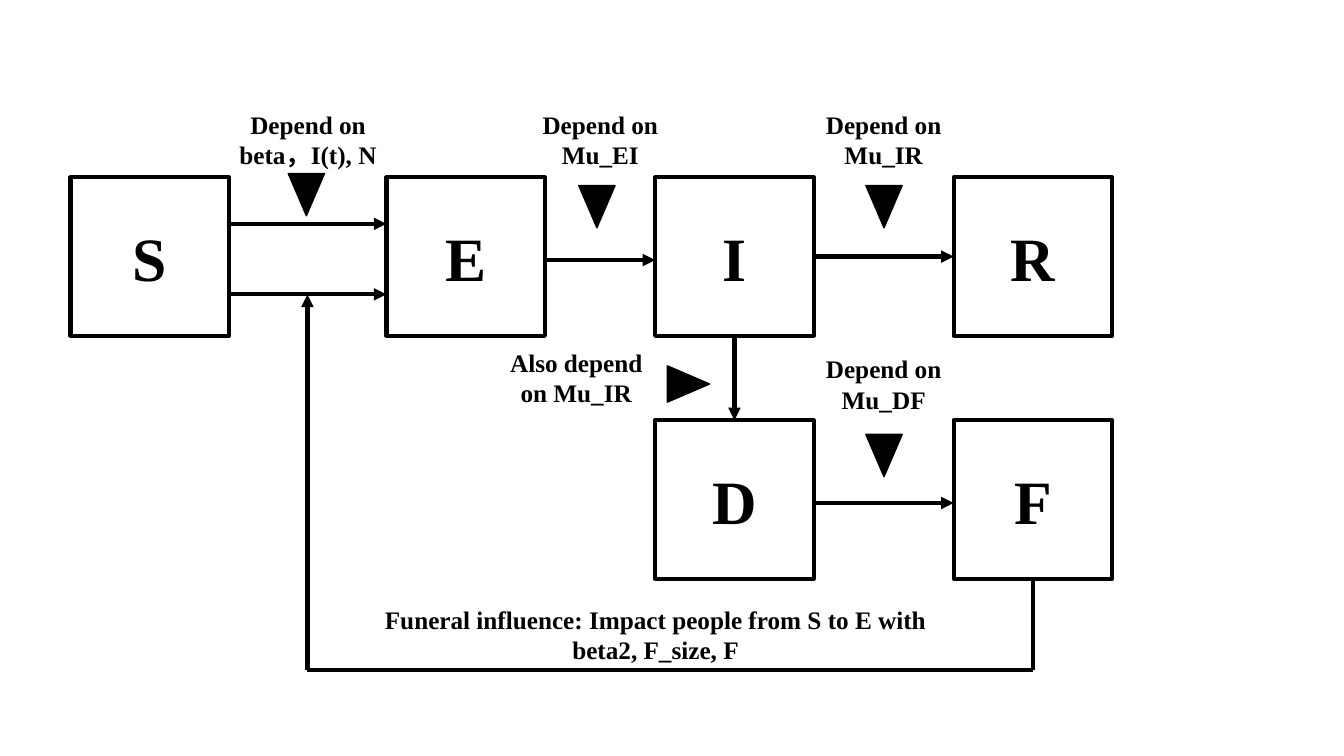
from collections import namedtuple

from lxml.etree import SubElement
from pptx import Presentation
from pptx.dml.color import RGBColor
from pptx.enum.shapes import MSO_CONNECTOR as Connector, MSO_SHAPE as Shape
from pptx.enum.text import MSO_ANCHOR as Anchor, MSO_AUTO_SIZE as AutoSize, PP_ALIGN as Align
from pptx.oxml.ns import qn
from pptx.util import Pt

Box = namedtuple("Box", "left top width height")

BLACK = RGBColor(0, 0, 0)
FONT = "Times New Roman"
STATE_SIZE = 113.2
LABEL_HEIGHT = 51
POINTER_WIDTH, POINTER_HEIGHT = 25.9, 30.2
TOP, LEFT, BOTTOM, RIGHT = range(4)

UPPER_ROW, LOWER_ROW = 126.7, 300.2
STATES = {
    "S": (50.4, UPPER_ROW),
    "E": (276, UPPER_ROW),
    "I": (468, UPPER_ROW),
    "R": (681.2, UPPER_ROW),
    "D": (468, LOWER_ROW),
    "F": (681.2, LOWER_ROW),
}
# Source, target, distance below the middle of the source
FLOWS = [
    ("S", "E", -23.4),
    ("S", "E", 27),
    ("E", "I", 2.5),
    ("I", "R", 0),
    ("D", "F", 2.5),
]
# Text, label box, pointer corner within the label, pointer rotation.
# The first label is wider so that its second line holds the whole list.
LABELS = [
    ("Depend on beta，I(t), N", Box(157, 74.2, 126, LABEL_HEIGHT), (48.9, 49.7), 180),
    ("Depend on Mu_EI", Box(372.2, 74.2, STATE_SIZE, LABEL_HEIGHT), (41.2, 58.3), 180),
    ("Depend on Mu_IR", Box(574.6, 74.2, STATE_SIZE, LABEL_HEIGHT), (43.9, 58.3), 180),
    ("Also depend on Mu_IR", Box(355, 244.4, STATE_SIZE, LABEL_HEIGHT), (123.8, 14.8), 90),
    ("Depend on Mu_DF", Box(574.6, 249.1, STATE_SIZE, LABEL_HEIGHT), (43.9, 61.2), 180),
]


def in_points(box):
    return [Pt(length) for length in box]


def write(frame, text, size):
    frame.word_wrap = True
    frame.text = text
    para = frame.paragraphs[0]
    para.alignment = Align.CENTER
    font = para.runs[0].font
    font.name, font.size, font.bold = FONT, Pt(size), True
    font.color.rgb = BLACK


def add_state(page, box, name):
    state = page.shapes.add_shape(Shape.RECTANGLE, *in_points(box))
    state.shadow.inherit = False
    state.fill.background()
    state.line.color.rgb = BLACK
    state.line.width = Pt(3)
    state.text_frame.vertical_anchor = Anchor.MIDDLE
    write(state.text_frame, name, 44)
    return state


def add_line(page, start, end, arrow=True):
    line = page.shapes.add_connector(Connector.STRAIGHT, *start, *end)
    line.line.color.rgb = BLACK
    line.line.width = Pt(3)
    properties = line._element.spPr
    if arrow:
        SubElement(properties.find(qn("a:ln")), qn("a:tailEnd"), type="triangle")
    SubElement(properties, qn("a:effectLst"))
    return line


def add_flow(page, source, target, offset):
    """Arrow from the right side of one state to the left side of the next."""
    y = source.top + source.height // 2 + Pt(offset)
    line = add_line(page, (source.left + source.width, y), (target.left, y))
    if offset == 0:
        line.begin_connect(source, RIGHT)
        line.end_connect(target, LEFT)


def add_drop(page, source, target):
    """Arrow from the bottom of one state to the top of the one below."""
    x = source.left + source.width // 2
    line = add_line(page, (x, source.top + source.height), (x, target.top))
    line.begin_connect(source, BOTTOM)
    line.end_connect(target, TOP)


def add_label(page, box, text):
    label = page.shapes.add_textbox(*in_points(box))
    write(label.text_frame, text, 18)
    label.text_frame.auto_size = AutoSize.SHAPE_TO_FIT_TEXT


def add_pointer(page, box, rotation):
    pointer = page.shapes.add_shape(Shape.ISOSCELES_TRIANGLE, *in_points(box))
    pointer.shadow.inherit = False
    pointer.rotation = rotation
    pointer.fill.solid()
    pointer.fill.fore_color.rgb = BLACK
    pointer.line.color.rgb = BLACK
    pointer.line.width = Pt(1)


def add_rate_note(page, box, text, pointer_offset, rotation):
    add_label(page, box, text)
    dx, dy = pointer_offset
    pointer_box = Box(box.left + dx, box.top + dy, POINTER_WIDTH, POINTER_HEIGHT)
    add_pointer(page, pointer_box, rotation)


def add_feedback(page, box, source):
    """Loop from the source down the right, along the bottom and up the left of the box."""
    left, top, width, height = in_points(box)
    right, bottom = left + width, top + height
    down = add_line(page, (right, source.top + source.height), (right, bottom), arrow=False)
    down.begin_connect(source, BOTTOM)
    add_line(page, (right, bottom), (left, bottom), arrow=False)
    add_line(page, (left, bottom), (left, top))
    label_box = Box(box.left + 48.2, box.top + box.height - LABEL_HEIGHT, 401, LABEL_HEIGHT)
    add_label(page, label_box,
              "Funeral influence: Impact people from S to E with beta2, F_size, F")


def main():
    deck = Presentation()
    deck.slide_width, deck.slide_height = Pt(960), Pt(540)
    page = deck.slides.add_slide(deck.slide_layouts[6])

    states = {name: add_state(page, Box(*corner, STATE_SIZE, STATE_SIZE), name)
              for name, corner in STATES.items()}
    for source, target, offset in FLOWS:
        add_flow(page, states[source], states[target], offset)
    add_drop(page, states["I"], states["D"])
    add_feedback(page, Box(219.6, 210.3, 518.2, 268.5), states["F"])
    for text, box, pointer_offset, rotation in LABELS:
        add_rate_note(page, box, text, pointer_offset, rotation)

    deck.save("out.pptx")


if __name__ == "__main__":
    main()
